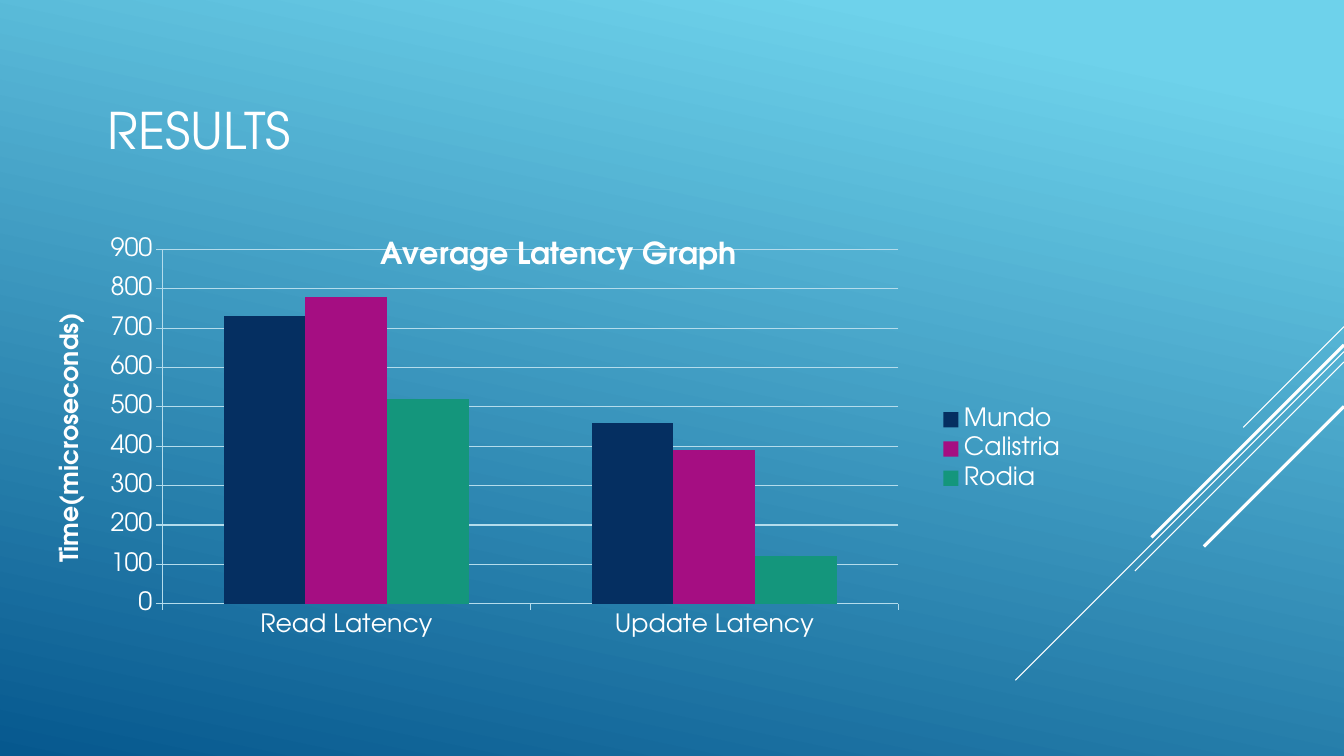
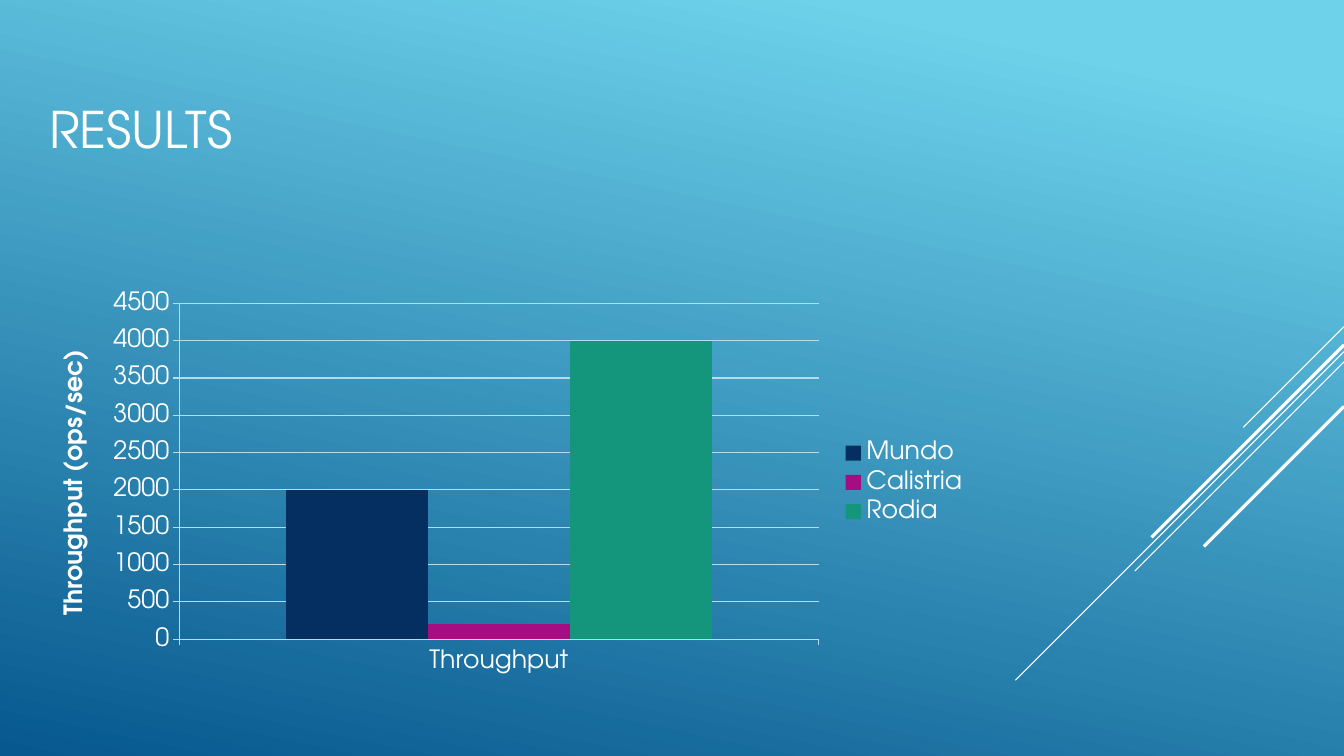
from lxml import etree
from pptx import Presentation
from pptx.chart.data import CategoryChartData
from pptx.dml.color import RGBColor
from pptx.enum import chart as charts, shapes, text
from pptx.oxml import ns
from pptx.util import Cm, Pt

FONT = "TeX Gyre Adventor"
COLOURS = {
    "text": "FFFFFF",
    "grid": "B4DCEC",
    "sky": "6ED2EB",
    "sea": "06588E",
    "navy": "052F61",
    "magenta": "A50E82",
    "green": "14967C",
}
SLIDE_WIDTH, SLIDE_HEIGHT = 33.87, 19.05
GRADIENT = [(0.1, "sky"), (1, "sea")]
DIAGONALS = [
    (8.23, 2.54, 0.75),
    (8.86, 8.28, 0.75),
    (9.12, 5.27, 0.75),
    (8.69, 4.85, 2.25),
    (10.24, 3.53, 2.25),
]
DATABASES = [("Mundo", "navy"), ("Calistria", "magenta"), ("Rodia", "green")]
SLIDES = [
    {
        "title": "RESULTS",
        "title_box": (2.46, 1.37, 23.7, 3.78),
        "chart_box": (1.04, 5.51, 26.09, 11.61),
        "chart_title": "Average Latency Graph",
        "plot": (0.117, 0.067, 0.711, 0.769),
        "axis": ("Time(microseconds)", 900, 100),
        "categories": ["Read Latency", "Update Latency"],
        "values": [(730, 460), (780, 390), (520, 120)],
    },
    {
        "title": "RESULTS",
        "title_box": (0.99, 1.14, 23.7, 4.19),
        "chart_box": (0.97, 7.14, 23.7, 10.03),
        "chart_title": None,
        "plot": None,
        "axis": ("Throughput (ops/sec)", 4500, 500),
        "categories": ["Throughput"],
        "values": [(2000,), (200,), (4000,)],
    },
]


def colour(name):
    return RGBColor.from_string(COLOURS[name])


def style_font(font, size, bold=False):
    font.name = FONT
    font.size = Pt(size)
    font.bold = bold
    font.color.rgb = colour("text")


def style_line(line, name, width):
    line.color.rgb = colour(name)
    line.width = Pt(width)


def add_backdrop(slide):
    fill = slide.background.fill
    fill.gradient()
    fill.gradient_angle = 360 - 102
    for stop, (position, name) in zip(fill.gradient_stops, GRADIENT):
        stop.position = position
        stop.color.rgb = colour(name)
    for top, reach, width in DIAGONALS:
        connector = slide.shapes.add_connector(
            shapes.MSO_CONNECTOR.STRAIGHT,
            Cm(SLIDE_WIDTH), Cm(top), Cm(SLIDE_WIDTH - reach), Cm(top + reach))
        style_line(connector.line, "text", width)
        etree.SubElement(connector._element.spPr, ns.qn("a:effectLst"))


def add_title(slide, title, box):
    frame = slide.shapes.add_textbox(*map(Cm, box)).text_frame
    frame.word_wrap = True
    frame.vertical_anchor = text.MSO_ANCHOR.MIDDLE
    paragraph = frame.paragraphs[0]
    paragraph.text = title
    style_font(paragraph.font, 36)


def set_title(owner, title, size):
    frame = owner.text_frame
    frame.text = title
    style_font(frame.paragraphs[0].font, size, bold=True)


def place_plot(chart, plot):
    area = chart._chartSpace.chart.plotArea
    for old in area.findall(ns.qn("c:layout")):
        area.remove(old)
    layout = etree.Element(ns.qn("c:layout"))
    manual = etree.SubElement(layout, ns.qn("c:manualLayout"))
    settings = [("layoutTarget", "inner"), ("xMode", "edge"), ("yMode", "edge")]
    settings += zip("xywh", map(str, plot))
    for tag, value in settings:
        etree.SubElement(manual, ns.qn("c:" + tag)).set("val", value)
    area.insert(0, layout)


def add_column_chart(slide, content):
    data = CategoryChartData()
    data.categories = content["categories"]
    for (name, _), values in zip(DATABASES, content["values"]):
        data.add_series(name, values)
    chart = slide.shapes.add_chart(
        charts.XL_CHART_TYPE.COLUMN_CLUSTERED,
        *map(Cm, content["chart_box"]), data).chart
    style_font(chart.font, 18)

    columns = chart.plots[0]
    columns.gap_width = 150
    columns.overlap = 0
    columns.vary_by_categories = False
    for series, (_, name) in zip(columns.series, DATABASES):
        series.format.fill.solid()
        series.format.fill.fore_color.rgb = colour(name)

    for axis in (chart.category_axis, chart.value_axis):
        axis.major_tick_mark = charts.XL_TICK_MARK.OUTSIDE
        axis.minor_tick_mark = charts.XL_TICK_MARK.NONE
        style_line(axis.format.line, "grid", 0.75)
    axis = chart.value_axis
    title, axis.maximum_scale, axis.major_unit = content["axis"]
    axis.minimum_scale = 0
    axis.has_major_gridlines = True
    style_line(axis.major_gridlines.format.line, "grid", 0.75)
    set_title(axis.axis_title, title, 18)

    chart.has_legend = True
    chart.legend.position = charts.XL_LEGEND_POSITION.RIGHT
    chart.legend.include_in_layout = False
    chart.has_title = bool(content["chart_title"])
    if chart.has_title:
        set_title(chart.chart_title, content["chart_title"], 21.6)
        overlay = chart.chart_title._element.get_or_add_overlay() if hasattr(
            chart.chart_title._element, "get_or_add_overlay") else None
        if overlay is None:
            overlay = chart.chart_title._element.find(ns.qn("c:overlay"))
        if overlay is None:
            overlay = etree.SubElement(chart.chart_title._element, ns.qn("c:overlay"))
        overlay.set("val", "1")
    if content["plot"]:
        place_plot(chart, content["plot"])


def main():
    presentation = Presentation()
    presentation.slide_width = Cm(SLIDE_WIDTH)
    presentation.slide_height = Cm(SLIDE_HEIGHT)
    for content in SLIDES:
        slide = presentation.slides.add_slide(presentation.slide_layouts[6])
        add_backdrop(slide)
        add_title(slide, content["title"], content["title_box"])
        add_column_chart(slide, content)
    presentation.save("out.pptx")


if __name__ == "__main__":
    main()
